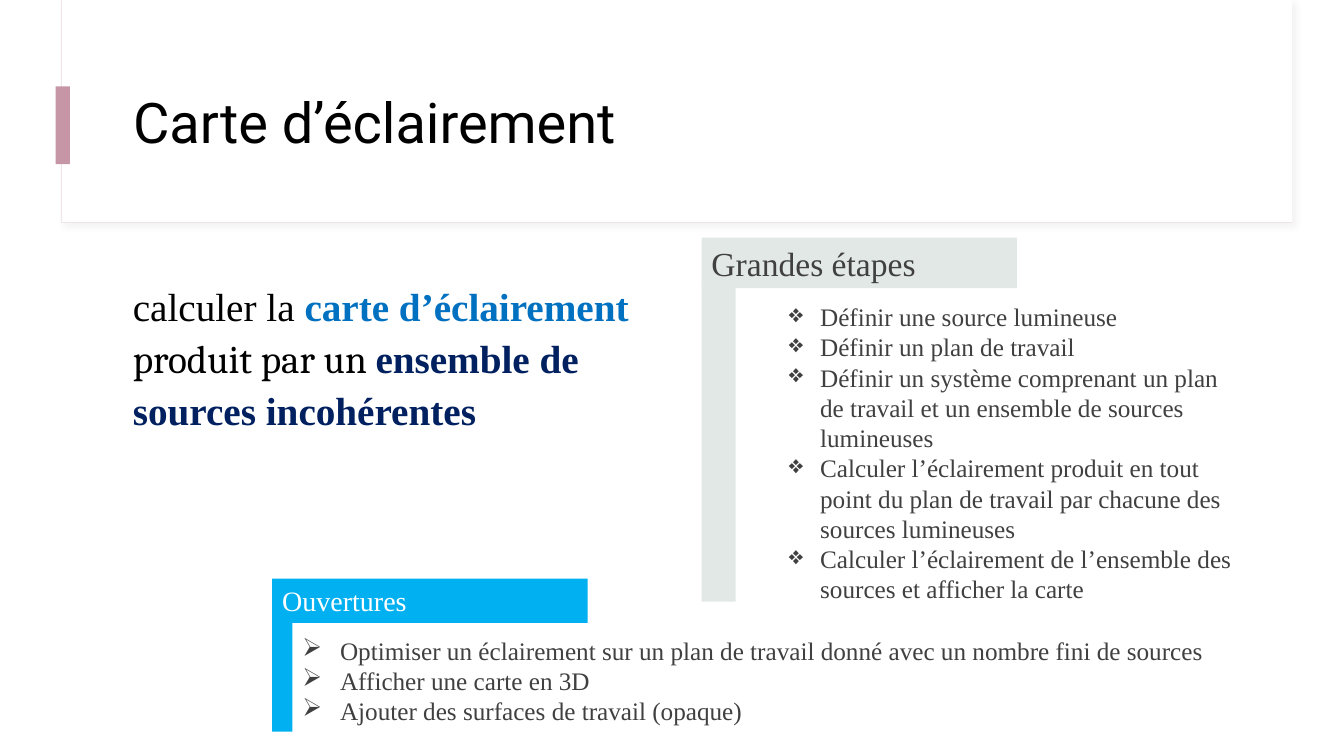
"""Build the slide on the illuminance map, its main steps and its outlook."""
import pptx
import pptx.dml.color
import pptx.enum.shapes
import pptx.enum.text
import pptx.oxml
import pptx.oxml.ns
import pptx.util

Cm = pptx.util.Cm
Pt = pptx.util.Pt
ANCHOR = pptx.enum.text.MSO_ANCHOR
AUTO = pptx.enum.text.MSO_AUTO_SIZE
LEFT = pptx.enum.text.PP_ALIGN.LEFT
SERIF = "Times New Roman"

COLORS = {
    "white": "FFFFFF", "black": "000000", "text": "404040", "border": "F0E5E5",
    "shadow": "D9D9D9", "accent": "C696A7", "grey": "E2E8E6", "cyan": "00B0F0",
    "blue": "0070C0", "navy": "002060",
}

STEPS = [
    "Définir une source lumineuse",
    "Définir un plan de travail",
    "Définir un système comprenant un plan de travail et un ensemble de sources lumineuses",
    "Calculer l’éclairement produit en tout point du plan de travail par chacune des sources lumineuses",
    "Calculer l’éclairement de l’ensemble des sources et afficher la carte",
]
OPENINGS = [
    "Optimiser un éclairement sur un plan de travail donné avec un nombre fini de sources",
    "Afficher une carte en 3D",
    "Ajouter des surfaces de travail (opaque)",
]
GOAL = [
    ("calculer la ", "black", SERIF, False),
    ("carte d’éclairement ", "blue", SERIF, True),
    ("produit par un ", "black", "Cambria", False),
    ("ensemble de sources incohérentes", "navy", SERIF, True),
]


def rgb(name):
    return pptx.dml.color.RGBColor.from_string(COLORS[name])


def set_format(obj, **values):
    for name, value in values.items():
        setattr(obj, name, value)


def add_run(p, text, size, color, font=SERIF, bold=False):
    r = p.add_run()
    r.text = text
    set_format(r.font, size=Pt(size), name=font, bold=bold)
    r.font.color.rgb = rgb(color)


def add_rect(s, box, fill):
    sp = s.shapes.add_shape(pptx.enum.shapes.MSO_SHAPE.RECTANGLE, *map(Cm, box))
    sp.shadow.inherit = False
    sp.fill.solid()
    sp.fill.fore_color.rgb = rgb(fill)
    sp.line.fill.background()
    return sp


def add_frame(s, box):
    sp = add_rect(s, box, "white")
    sp.line.color.rgb = rgb("border")
    sp.line.width = Pt(0.75)
    effects = sp._element.spPr.find(pptx.oxml.ns.qn("a:effectLst"))
    effects.append(pptx.oxml.parse_xml(
        f'<a:outerShdw {pptx.oxml.ns.nsdecls("a")} blurRad="{Pt(4)}" dist="{Pt(3)}" '
        f'dir="2700000" algn="tl" rotWithShape="0"><a:srgbClr val="{COLORS["shadow"]}">'
        '<a:alpha val="30000"/></a:srgbClr></a:outerShdw>'))


def add_heading(s, box, text, size, fill, color):
    tf = add_rect(s, box, fill).text_frame
    set_format(tf, word_wrap=True, vertical_anchor=ANCHOR.TOP,
               auto_size=AUTO.SHAPE_TO_FIT_TEXT)
    p = tf.paragraphs[0]
    p.alignment = LEFT
    add_run(p, text, size, color)


def add_text_box(s, box):
    tf = s.shapes.add_textbox(*map(Cm, box)).text_frame
    tf.word_wrap = True
    return tf


def add_bullets(s, box, items, char, indent):
    tf = add_text_box(s, box)
    tf.auto_size = AUTO.SHAPE_TO_FIT_TEXT
    for i, item in enumerate(items):
        p = tf.add_paragraph() if i else tf.paragraphs[0]
        pPr = p._p.get_or_add_pPr()
        pPr.set("marL", str(Cm(indent)))
        pPr.set("indent", str(-Cm(indent)))
        pPr.append(pptx.oxml.parse_xml(
            f'<a:buChar {pptx.oxml.ns.nsdecls("a")} char="{char}"/>'))
        add_run(p, item, 18, "text")


def add_title(s, box, text):
    sp = s.shapes.title
    left, top, width, height = map(Cm, box)
    set_format(sp, left=left, top=top, width=width, height=height)
    sp._element.getparent().append(sp._element)
    tf = sp.text_frame
    set_format(tf, word_wrap=True, auto_size=AUTO.NONE, vertical_anchor=ANCHOR.MIDDLE)
    p = tf.paragraphs[0]
    set_format(p, alignment=LEFT, line_spacing=0.9)
    add_run(p, text, 40, "black", "Roboto")


def add_goal(s, box):
    p = add_text_box(s, box).paragraphs[0]
    set_format(p, line_spacing=1.1, space_before=Pt(10))
    for text, color, font, bold in GOAL:
        add_run(p, text, 28, color, font, bold)


def main():
    prs = pptx.Presentation()
    set_format(prs, slide_width=Cm(33.87), slide_height=Cm(19.05))
    s = prs.slides.add_slide(prs.slide_layouts.get_by_name("Title Only"))
    add_frame(s, (1.55, 0, 31.01, 5.61))
    add_rect(s, (1.57, 0, 30.99, 5.59), "white")
    add_rect(s, (1.4, 2.18, 0.36, 1.96), "accent")
    add_title(s, (3.1, 1.52, 28.24, 3.28), "Carte d’éclairement")
    add_goal(s, (3.1, 6.88, 13.72, 10.26))
    add_bullets(s, (19.63, 7.47, 11.99, 7.95), STEPS, "❖", 0.79)
    add_heading(s, (17.68, 5.99, 7.95, 1.27), "Grandes étapes", 24, "grey", "text")
    add_heading(s, (6.86, 14.58, 7.95, 1.12), "Ouvertures", 20, "cyan", "white")
    add_bullets(s, (7.37, 15.88, 24.28, 2.57), OPENINGS, "➢", 0.95)
    add_rect(s, (17.68, 7.21, 0.86, 7.95), "grey")
    add_rect(s, (6.86, 15.7, 0.51, 2.74), "cyan")
    prs.save("out.pptx")


if __name__ == "__main__":
    main()
